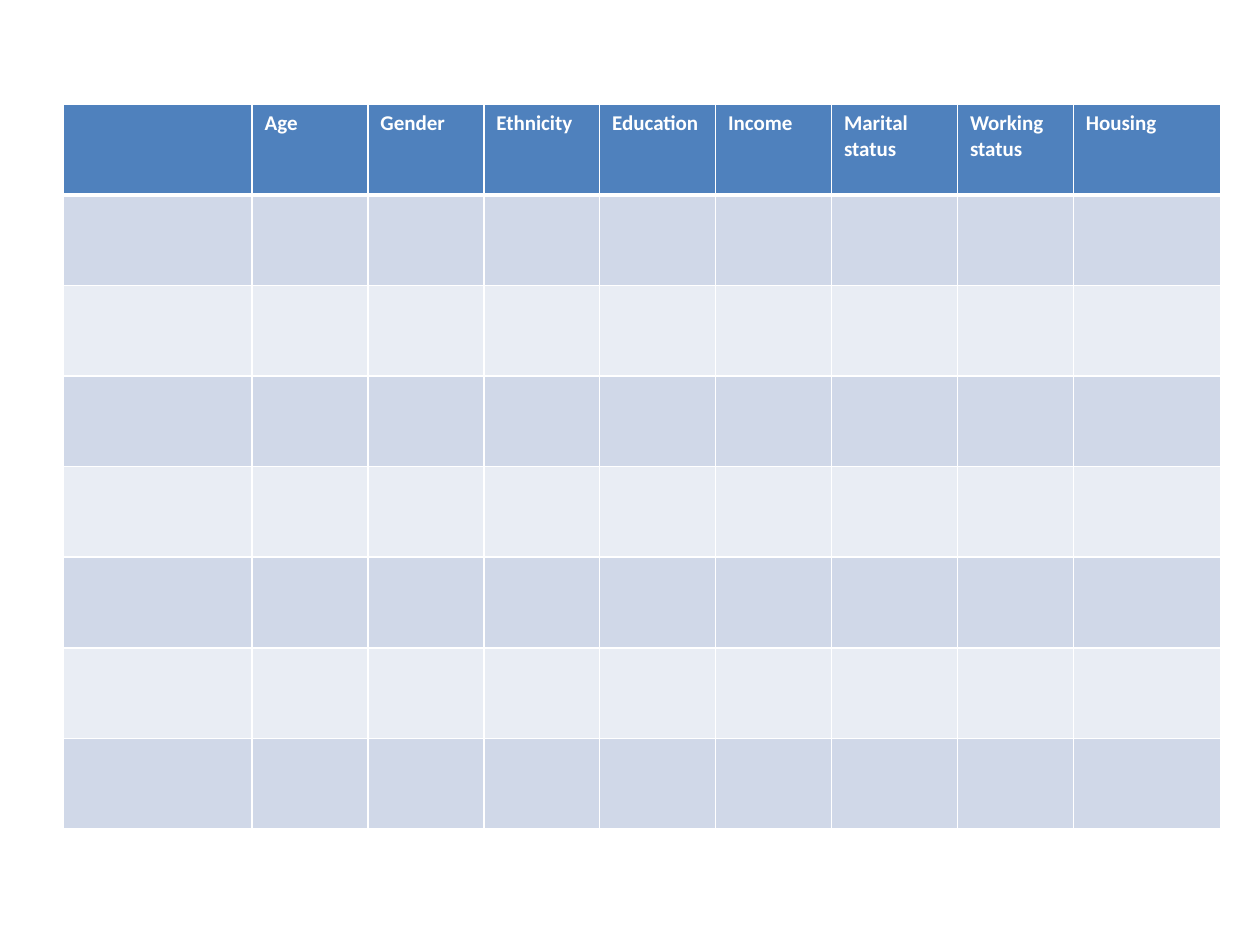
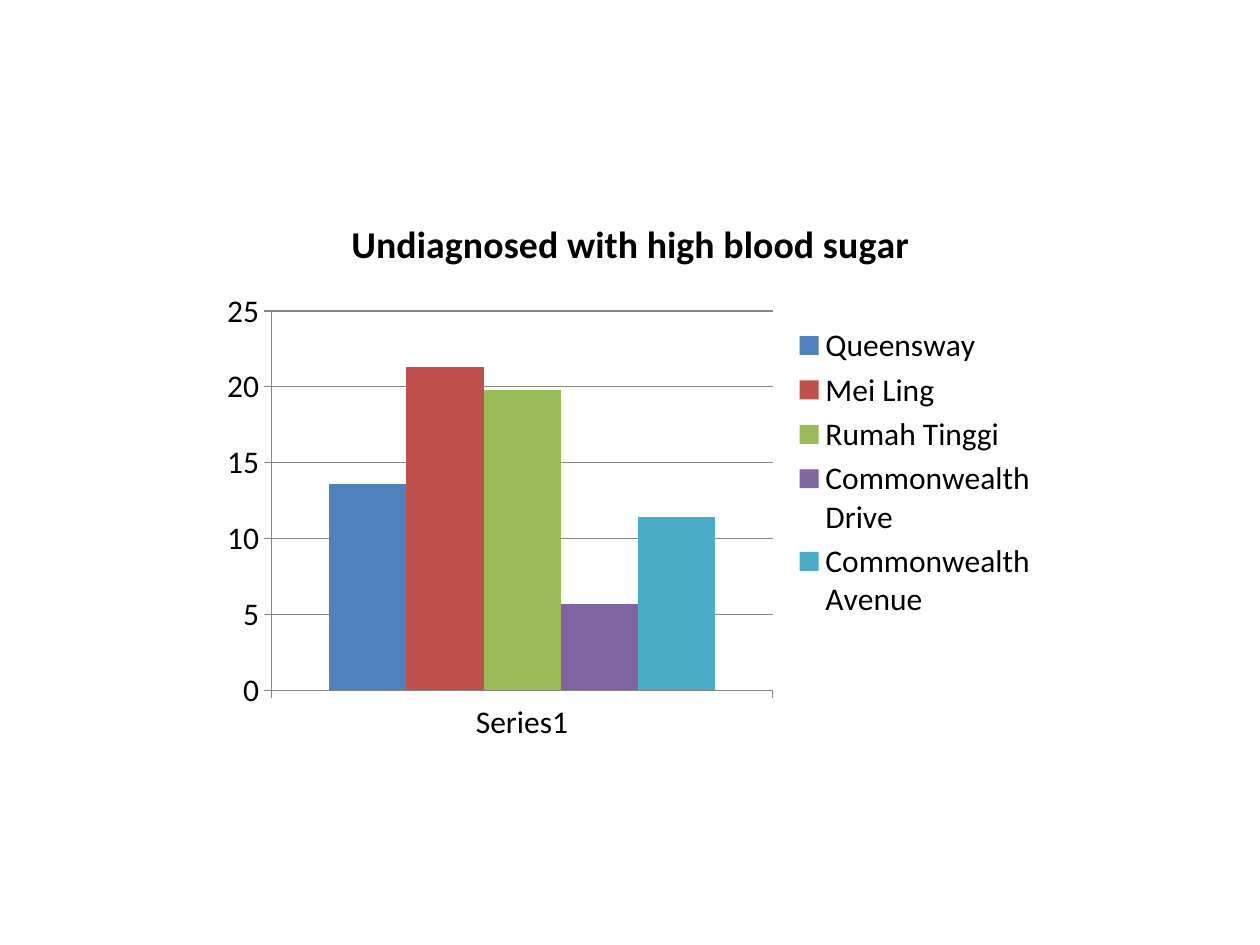
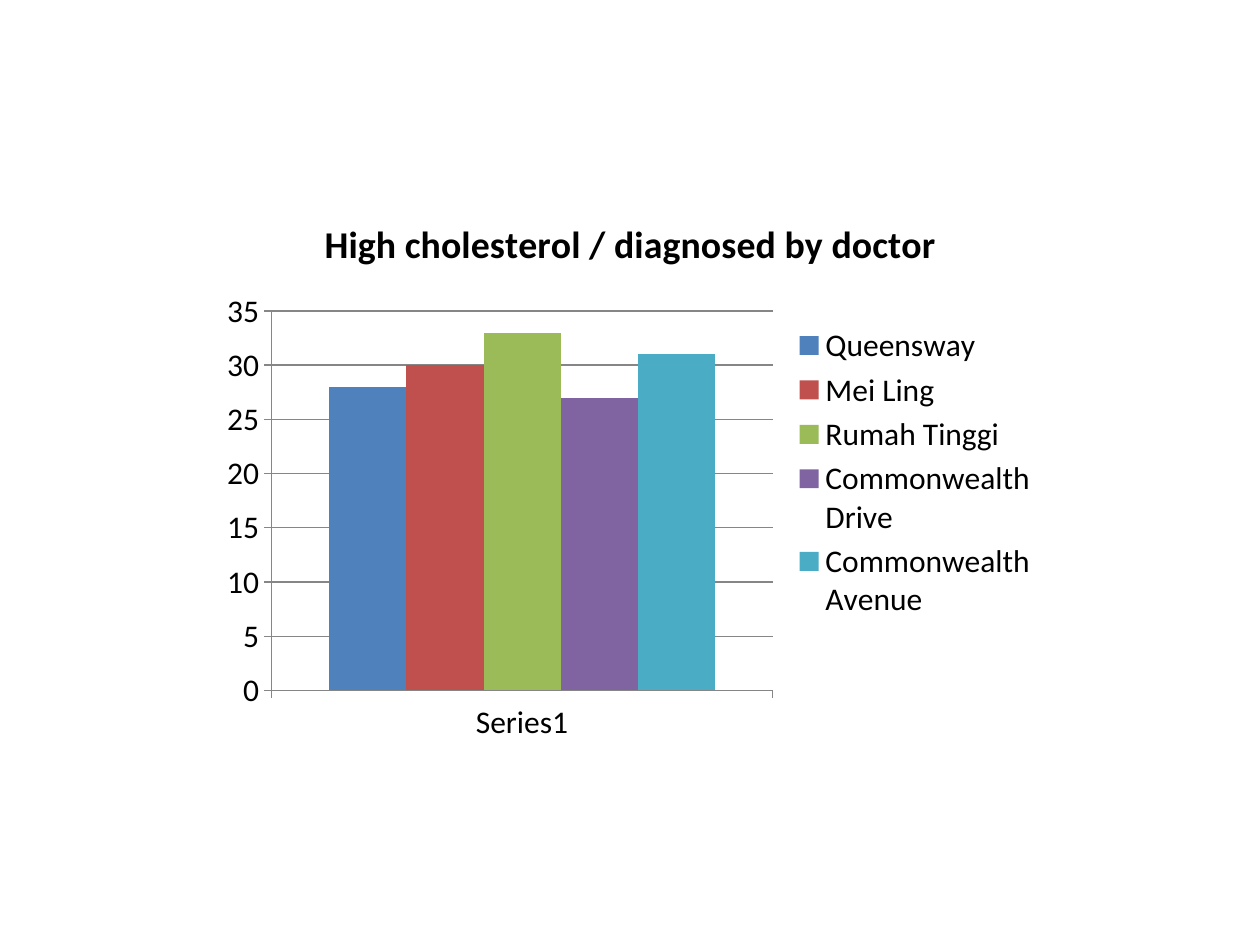
from dataclasses import dataclass

from lxml.etree import SubElement
from pptx import Presentation
from pptx.chart.data import CategoryChartData
from pptx.dml.color import RGBColor
from pptx.enum.chart import XL_CHART_TYPE as ChartType
from pptx.enum.chart import XL_LEGEND_POSITION as LegendPosition
from pptx.enum.chart import XL_TICK_MARK as TickMark
from pptx.oxml.ns import qn
from pptx.util import Inches, Pt


@dataclass(frozen=True)
class Theme:
    font: str = "Calibri"
    ink: str = "000000"
    paper: str = "FFFFFF"
    header: str = "4F81BD"
    bands: tuple = ("D0D8E8", "E9EDF4")
    rule: str = "868686"
    header_size: float = 12
    chart_size: float = 18
    chart_title_size: float = 21.6


THEME = Theme()

PROFILE_COLUMNS = [
    ("", 1.5),
    ("Age", 0.92),
    ("Gender", 0.92),
    ("Ethnicity", 0.92),
    ("Education", 0.92),
    ("Income", 0.92),
    ("Marital status", 1),
    ("Working status", 0.92),
    ("Housing", 1.17),
]
PROFILE_ROWS = 8
PROFILE_AREA = (0.5, 0.83, 9.17, 5.75)

NEIGHBOURHOODS = [
    ("Queensway", "4F81BD"),
    ("Mei Ling", "C0504D"),
    ("Rumah Tinggi", "9BBB59"),
    ("Commonwealth Drive", "8064A2"),
    ("Commonwealth Avenue", "4BACC6"),
]
FINDINGS = [
    ("Undiagnosed with high blood sugar", [13.6, 21.3, 19.8, 5.7, 11.4]),
    ("High cholesterol / diagnosed by doctor", [28, 30, 33, 27, 31]),
]
FINDING_AREA = (1.67, 1.53, 6.67, 4.44)
FINDING_CATEGORY = "Series1"


def colour(code):
    return RGBColor.from_string(code)


def format_font(font, size, ink, bold=False):
    font.name = THEME.font
    font.size = Pt(size)
    font.bold = bold
    font.color.rgb = colour(ink)


def write(frame, text, **style):
    run = frame.paragraphs[0].add_run()
    run.text = text
    format_font(run.font, **style)


def border_cell(cell, **widths):
    properties = cell._tc.get_or_add_tcPr()
    for side in "LRTB":
        width = Pt(widths.get(side, 1))
        line = SubElement(properties, qn(f"a:ln{side}"), w=str(width))
        fill = SubElement(line, qn("a:solidFill"))
        SubElement(fill, qn("a:srgbClr"), val=THEME.paper)


def fill_cell(cell, code):
    cell.fill.solid()
    cell.fill.fore_color.rgb = colour(code)


def add_profile(slide):
    area = map(Inches, PROFILE_AREA)
    profile = slide.shapes.add_table(PROFILE_ROWS, len(PROFILE_COLUMNS), *area).table
    for column, (heading, width) in enumerate(PROFILE_COLUMNS):
        profile.columns[column].width = Inches(width)
        for row in range(PROFILE_ROWS):
            cell = profile.cell(row, column)
            if row == 0:
                border_cell(cell, B=3)
                fill_cell(cell, THEME.header)
            else:
                border_cell(cell, T=3 if row == 1 else 1)
                fill_cell(cell, THEME.bands[(row - 1) % 2])
        if heading:
            write(profile.cell(0, column).text_frame, heading,
                  size=THEME.header_size, ink=THEME.paper, bold=True)


def add_finding(slide, title, shares):
    data = CategoryChartData()
    data.categories = [FINDING_CATEGORY]
    for (neighbourhood, _), share in zip(NEIGHBOURHOODS, shares):
        data.add_series(neighbourhood, [share])
    area = map(Inches, FINDING_AREA)
    finding = slide.shapes.add_chart(ChartType.COLUMN_CLUSTERED, *area, data).chart
    format_font(finding.font, THEME.chart_size, THEME.ink)

    finding.has_title = True
    write(finding.chart_title.text_frame, title,
          size=THEME.chart_title_size, ink=THEME.ink, bold=True)
    finding.chart_title.include_in_layout = False
    finding.has_legend = True
    finding.legend.position = LegendPosition.RIGHT
    finding.legend.include_in_layout = False

    columns = finding.plots[0]
    columns.gap_width = 150
    columns.overlap = 0
    columns.vary_by_categories = False
    for series, (_, code) in zip(columns.series, NEIGHBOURHOODS):
        series.format.fill.solid()
        series.format.fill.fore_color.rgb = colour(code)

    scale = finding.value_axis
    scale.has_major_gridlines = True
    for axis in (finding.category_axis, scale):
        axis.major_tick_mark = TickMark.OUTSIDE
        axis.minor_tick_mark = TickMark.NONE
    for ruled in (finding.category_axis, scale, scale.major_gridlines):
        ruled.format.line.color.rgb = colour(THEME.rule)
        ruled.format.line.width = Pt(0.75)


def main():
    deck = Presentation()
    deck.slide_width, deck.slide_height = Inches(10), Inches(7.5)
    blank = deck.slide_layouts[6]
    add_profile(deck.slides.add_slide(blank))
    for title, shares in FINDINGS:
        add_finding(deck.slides.add_slide(blank), title, shares)
    deck.save("out.pptx")


if __name__ == "__main__":
    main()
